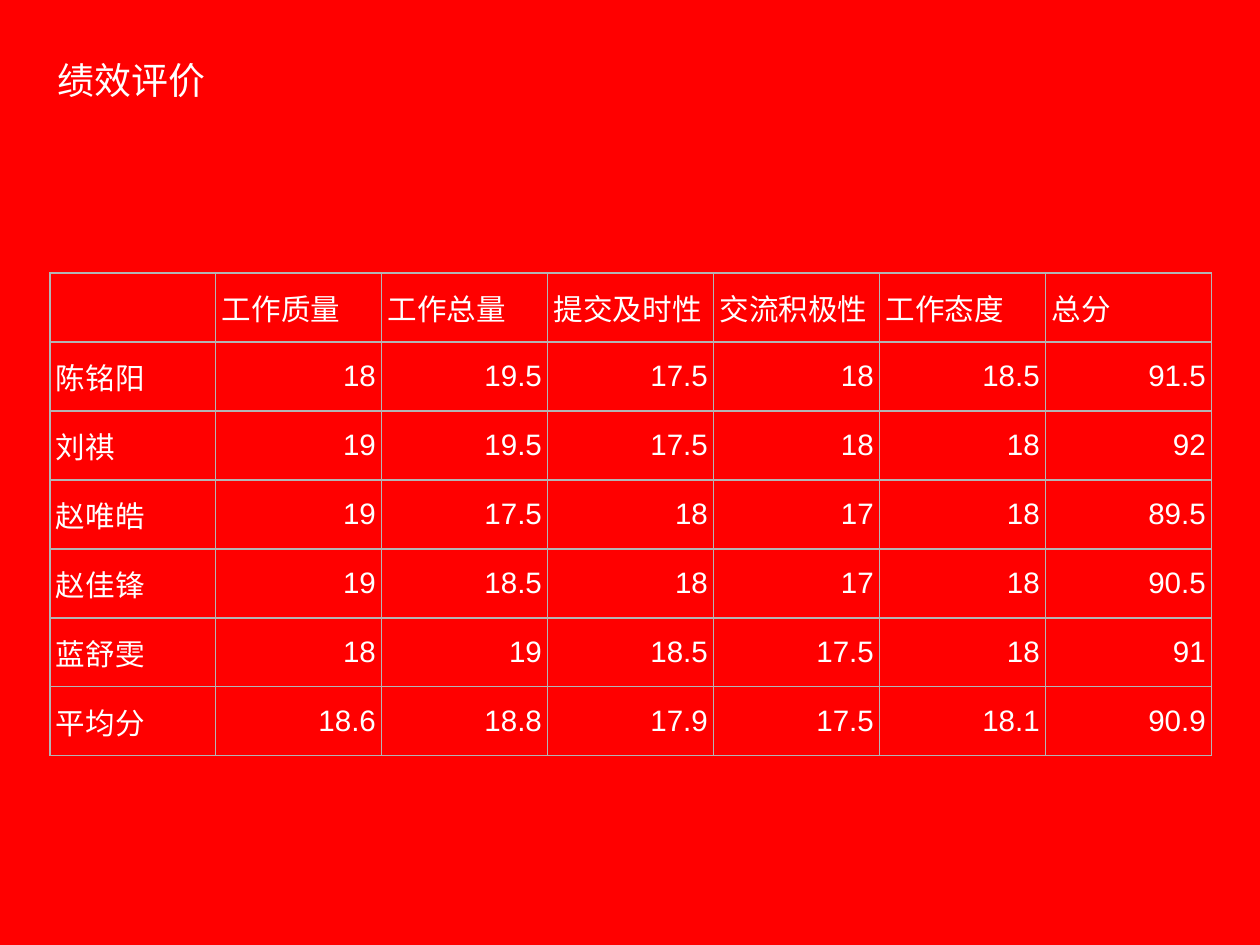
"""Build the performance review slide: a title above a table of scores."""
from lxml.etree import SubElement
from pptx import Presentation
from pptx.dml.color import RGBColor
from pptx.enum.text import MSO_ANCHOR, MSO_AUTO_SIZE, PP_ALIGN
from pptx.oxml import parse_xml
from pptx.oxml.ns import nsdecls, qn
from pptx.util import Pt

TITLE = "绩效评价"
SCORES = [
    ("", "工作质量", "工作总量", "提交及时性", "交流积极性", "工作态度", "总分"),
    ("陈铭阳", "18", "19.5", "17.5", "18", "18.5", "91.5"),
    ("刘祺", "19", "19.5", "17.5", "18", "18", "92"),
    ("赵唯皓", "19", "17.5", "18", "17", "18", "89.5"),
    ("赵佳锋", "19", "18.5", "18", "17", "18", "90.5"),
    ("蓝舒雯", "18", "19", "18.5", "17.5", "18", "91"),
    ("平均分", "18.6", "18.8", "17.9", "17.5", "18.1", "90.9"),
]

RED = RGBColor(0xFF, 0x00, 0x00)
WHITE = RGBColor(0xFF, 0xFF, 0xFF)
GREY = RGBColor(0xB4, 0xB4, 0xB4)
TITLE_FONT, TABLE_FONT = "Noto Sans CJK SC", "Arial"

EMU_PER_PX = 914400 / 88.6
SLIDE_W, SLIDE_H = 1260, 945
TITLE_BOX = (53, 49, 159, 61)
TITLE_INSET, CELL_INSET = 5, 6
TABLE_X, TABLE_Y = 50, 273
COL_W, ROW_H = 166, 69


def px(n):
    return round(n * EMU_PER_PX)


def style(r, font, size):
    r.font.name = font
    r.font.size = Pt(size)
    r.font.color.rgb = WHITE


def add_title(slide):
    sp = slide.shapes.add_textbox(*map(px, TITLE_BOX))
    tf = sp.text_frame
    tf.text = TITLE
    tf.word_wrap = False
    tf.auto_size = MSO_AUTO_SIZE.SHAPE_TO_FIT_TEXT
    tf.vertical_anchor = MSO_ANCHOR.MIDDLE
    tf.margin_left = tf.margin_right = px(TITLE_INSET)
    tf.margin_top = tf.margin_bottom = px(TITLE_INSET)
    r = tf.paragraphs[0].runs[0]
    style(r, TITLE_FONT, 30)
    SubElement(r.font._element, qn("a:ea"), typeface=TITLE_FONT)


def add_borders(cell):
    tc_pr = cell._tc.get_or_add_tcPr()
    for i, side in enumerate("LRTB"):
        tc_pr.insert(i, parse_xml(
            f'<a:ln{side} {nsdecls("a")} w="{Pt(1)}"><a:solidFill>'
            f'<a:srgbClr val="{GREY}"/></a:solidFill></a:ln{side}>'))


def fill_cell(cell, text, is_number):
    cell.fill.background()
    add_borders(cell)
    cell.vertical_anchor = MSO_ANCHOR.MIDDLE
    cell.margin_left = cell.margin_right = px(CELL_INSET)
    cell.margin_top = cell.margin_bottom = 0
    p = cell.text_frame.paragraphs[0]
    p.text = text
    p.alignment = PP_ALIGN.RIGHT if is_number else PP_ALIGN.LEFT
    for r in p.runs:
        style(r, TABLE_FONT, 24)


def add_scores(slide):
    rows, cols = len(SCORES), len(SCORES[0])
    table = slide.shapes.add_table(
        rows, cols, px(TABLE_X), px(TABLE_Y), px(cols * COL_W), px(rows * ROW_H)).table
    table.first_row = table.horz_banding = False
    for column in table.columns:
        column.width = px(COL_W)
    for i, values in enumerate(SCORES):
        table.rows[i].height = px(ROW_H)
        for j, text in enumerate(values):
            fill_cell(table.cell(i, j), text, i > 0 and j > 0)


def main():
    prs = Presentation()
    prs.slide_width, prs.slide_height = px(SLIDE_W), px(SLIDE_H)
    slide = prs.slides.add_slide(prs.slide_layouts[6])
    slide.background.fill.solid()
    slide.background.fill.fore_color.rgb = RED
    add_title(slide)
    add_scores(slide)
    prs.save("out.pptx")


if __name__ == "__main__":
    main()
